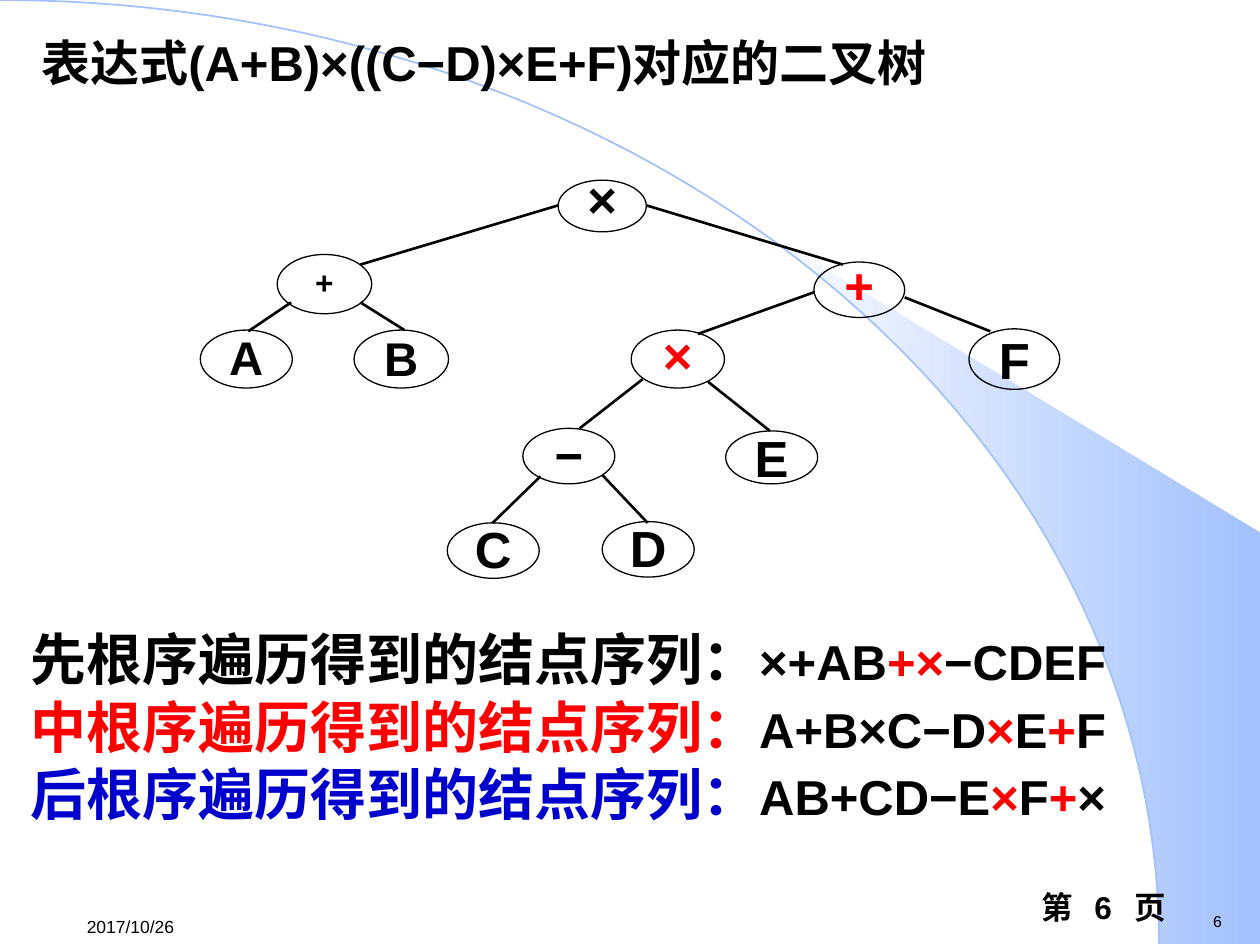
from dataclasses import dataclass
from math import acos, cos, pi, sin

from lxml.etree import SubElement
from pptx import Presentation
from pptx.dml.color import RGBColor
from pptx.enum.shapes import MSO_CONNECTOR, MSO_SHAPE
from pptx.enum.text import MSO_ANCHOR as Anchor, MSO_AUTO_SIZE, PP_ALIGN
from pptx.oxml.ns import qn
from pptx.util import Inches, Pt

BLACK = RGBColor(0x00, 0x00, 0x00)
RED = RGBColor(0xFF, 0x00, 0x00)
BLUE = RGBColor(0x00, 0x00, 0xCC)
WHITE = RGBColor(0xFF, 0xFF, 0xFF)
SKY = RGBColor(0xA2, 0xC1, 0xFE)

CELL = Inches(0.1)
COLUMNS, ROWS = 100, 75
ARC_COLUMNS, ARC_ROWS = 92, 74.9
ARC_STEPS = 60


@dataclass
class Node:
    label: str
    left: float
    top: float
    width: float
    height: float
    size: int = 29
    lift: float = 0.4
    colour: RGBColor = BLACK
    tight: bool = False
    anchor: Anchor = Anchor.MIDDLE


NODES = [
    Node("×", 44.3, 14.3, 7, 4.1, lift=1.2),
    Node("+", 64.6, 20.8, 7.2, 4.4, lift=0, colour=RED, tight=True),
    Node("+", 22, 20.2, 7.5, 4.7, size=18),
    Node("A", 15.9, 26.2, 7.3, 4.6, size=27),
    Node("B", 28.1, 26.2, 7.5, 4.6, size=27, lift=1.2, tight=True, anchor=Anchor.TOP),
    Node("×", 50.1, 26.2, 7.4, 4.6, lift=0, colour=RED, tight=True),
    Node("E", 57.6, 34.2, 7.3, 4.2, lift=0),
    Node("F", 76.9, 26.1, 7.2, 4.8, lift=0),
    Node("D", 47.8, 41.4, 7.3, 4.4),
    Node("C", 35.5, 41.5, 7.3, 4.4),
    Node("−", 41.5, 34, 7.3, 4.4, size=28),
]

BRANCHES = [
    ((44.3, 16.3), (28.6, 21)), ((51.3, 16.3), (66.9, 21)),
    ((64.6, 23.2), (55.4, 26.5)), ((71.8, 23.6), (78.6, 26.3)),
    ((51, 30.1), (46, 34)), ((56.2, 30.3), (61.1, 34.2)),
    ((42.9, 37.8), (39.1, 41.5)), ((47.8, 37.7), (51.4, 41.5)),
    ((23.1, 24), (19.7, 26.3)), ((28.6, 24), (32.1, 26.2)),
]

TRAVERSALS = [
    ("先根序遍历得到的结点序列：", BLACK,
     [("×+AB", BLACK), ("+×", RED), ("−CDEF", BLACK)]),
    ("中根序遍历得到的结点序列：", RED,
     [("A+B×C−D", BLACK), ("×", RED), ("E", BLACK), ("+", RED), ("F", BLACK)]),
    ("后根序遍历得到的结点序列：", BLUE,
     [("AB+CD−E", BLACK), ("×", RED), ("F", BLACK), ("+", RED), ("×", BLACK)]),
]


def cells(*counts):
    return [int(count * CELL) for count in counts]


def style_run(run, size, colour=BLACK, bold=False):
    font = run.font
    font.name, font.size, font.bold = "Arial", Pt(size), bold
    font.color.rgb = colour


def set_frame(frame, anchor=Anchor.TOP, insets=(0, 0, 0, 0)):
    frame.word_wrap = True
    frame.auto_size = MSO_AUTO_SIZE.NONE
    frame.vertical_anchor = anchor
    (frame.margin_left, frame.margin_top,
     frame.margin_right, frame.margin_bottom) = cells(*insets)


def move(placeholder, *box):
    (placeholder.left, placeholder.top,
     placeholder.width, placeholder.height) = cells(*box)


def arc_points(start):
    angles = [start * (1 - step / ARC_STEPS) for step in range(ARC_STEPS + 1)]
    return [cells(ARC_COLUMNS * cos(angle), ARC_ROWS * (1 - sin(angle)))
            for angle in angles]


def add_backdrop_outline(slide, points, close, depth):
    builder = slide.shapes.build_freeform(*points[0])
    builder.add_line_segments(points[1:], close=close)
    outline = builder.convert_to_shape()
    outline.shadow.inherit = False
    slide.shapes.element.insert(depth, outline.element)
    return outline


def add_backdrop(slide):
    wedge_start = acos(58.9 / ARC_COLUMNS)
    right_edge = [cells(COLUMNS, ARC_ROWS), cells(COLUMNS, 42.3)]
    wedge = add_backdrop_outline(slide, arc_points(wedge_start) + right_edge, True, 2)
    wedge.line.fill.background()
    wedge.fill.gradient()
    wedge.fill.gradient_angle = 0
    for stop, colour in zip(wedge.fill.gradient_stops, (WHITE, SKY)):
        stop.color.rgb = colour
    arc = add_backdrop_outline(slide, arc_points(pi / 2), False, 3)
    arc.fill.background()
    arc.line.color.rgb = SKY
    arc.line.width = Pt(1)


def add_node(slide, node):
    oval = slide.shapes.add_shape(
        MSO_SHAPE.OVAL, *cells(node.left, node.top, node.width, node.height))
    oval.shadow.inherit = False
    oval.fill.background()
    oval.line.color.rgb = BLACK
    oval.line.width = Pt(0.75)
    set_frame(oval.text_frame, node.anchor, (0, 0, 0, node.lift))
    label = oval.text_frame.paragraphs[0]
    label.text = node.label
    label.alignment = PP_ALIGN.CENTER
    if node.tight:
        label.line_spacing = Pt(node.size)
    else:
        label.space_before = Pt(round(node.size * 0.2))
    style_run(label.runs[0], node.size, node.colour, True)


def add_branch(slide, parent_end, child_end):
    branch = slide.shapes.add_connector(
        MSO_CONNECTOR.STRAIGHT, *cells(*parent_end, *child_end))
    branch.line.color.rgb = BLACK
    branch.line.width = Pt(1.5)
    SubElement(branch.element.spPr, qn("a:effectLst"))


def fill_title(title):
    move(title, 1.6, 2.1, 83.1, 5.7)
    set_frame(title.text_frame, Anchor.MIDDLE, (1.7, 0.5, 0, 0.5))
    heading = title.text_frame.paragraphs[0]
    heading.text = "表达式(A+B)×((C−D)×E+F)对应的二叉树"
    heading.alignment = PP_ALIGN.LEFT
    style_run(heading.runs[0], 28, bold=True)


def fill_traversals(body):
    move(body, 2.4, 49.6, 95.3, 17.8)
    frame = body.text_frame
    set_frame(frame)
    frame.text = "\n".join(caption for caption, _, _ in TRAVERSALS)
    for line, (_, caption_colour, sequence) in zip(frame.paragraphs, TRAVERSALS):
        line.space_before = Pt(0)
        properties = line._p.get_or_add_pPr()
        properties.set("marL", "0")
        properties.set("indent", "0")
        SubElement(properties, qn("a:buNone"))
        style_run(line.runs[0], 32, caption_colour, True)
        for symbols, colour in sequence:
            run = line.add_run()
            run.text = symbols
            style_run(run, 28, colour, True)


def add_footer(slide, text, box, size, anchor=Anchor.TOP, bold=False):
    footer = slide.shapes.add_textbox(*cells(*box))
    set_frame(footer.text_frame, anchor, (1, 0.5, 0.5, 0.5))
    footer.text_frame.text = text
    run = footer.text_frame.paragraphs[0].runs[0]
    style_run(run, size, bold=bold)
    return run


def main():
    deck = Presentation()
    deck.slide_width, deck.slide_height = cells(COLUMNS, ROWS)
    slide = deck.slides.add_slide(deck.slide_layouts[1])
    add_backdrop(slide)
    add_footer(slide, "6", (95.3, 71.9, 3.5, 2.5), 9)
    add_footer(slide, "2017/10/26", (5.9, 72, 10.2, 3), 10, Anchor.MIDDLE)
    page = add_footer(slide, "第 6 页", (81.7, 70, 18.3, 5), 18, bold=True)
    page.font._element.set("spc", "400")
    fill_traversals(slide.placeholders[1])
    for parent_end, child_end in BRANCHES:
        add_branch(slide, parent_end, child_end)
    for node in NODES:
        add_node(slide, node)
    fill_title(slide.shapes.title)
    deck.save("out.pptx")


if __name__ == "__main__":
    main()
